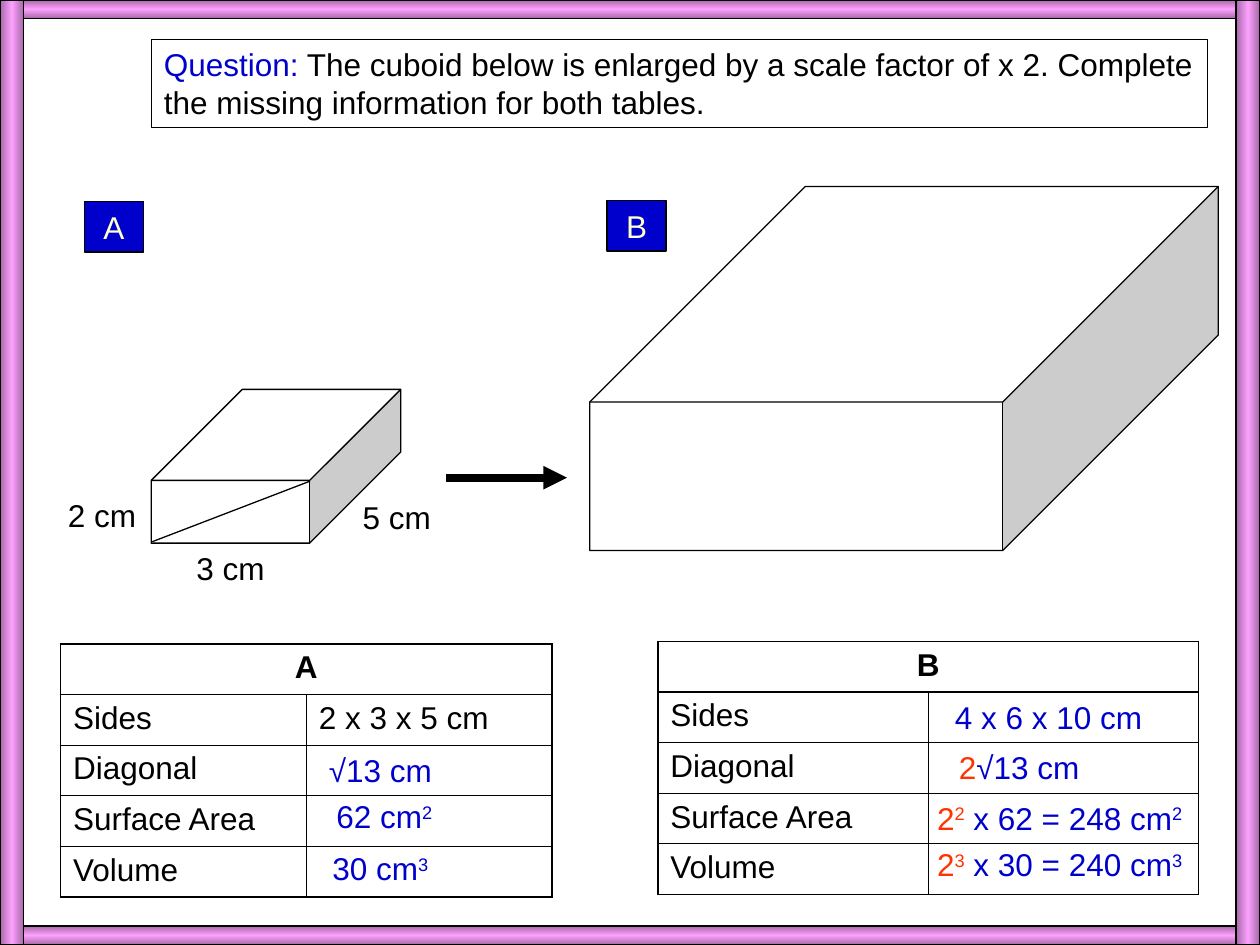
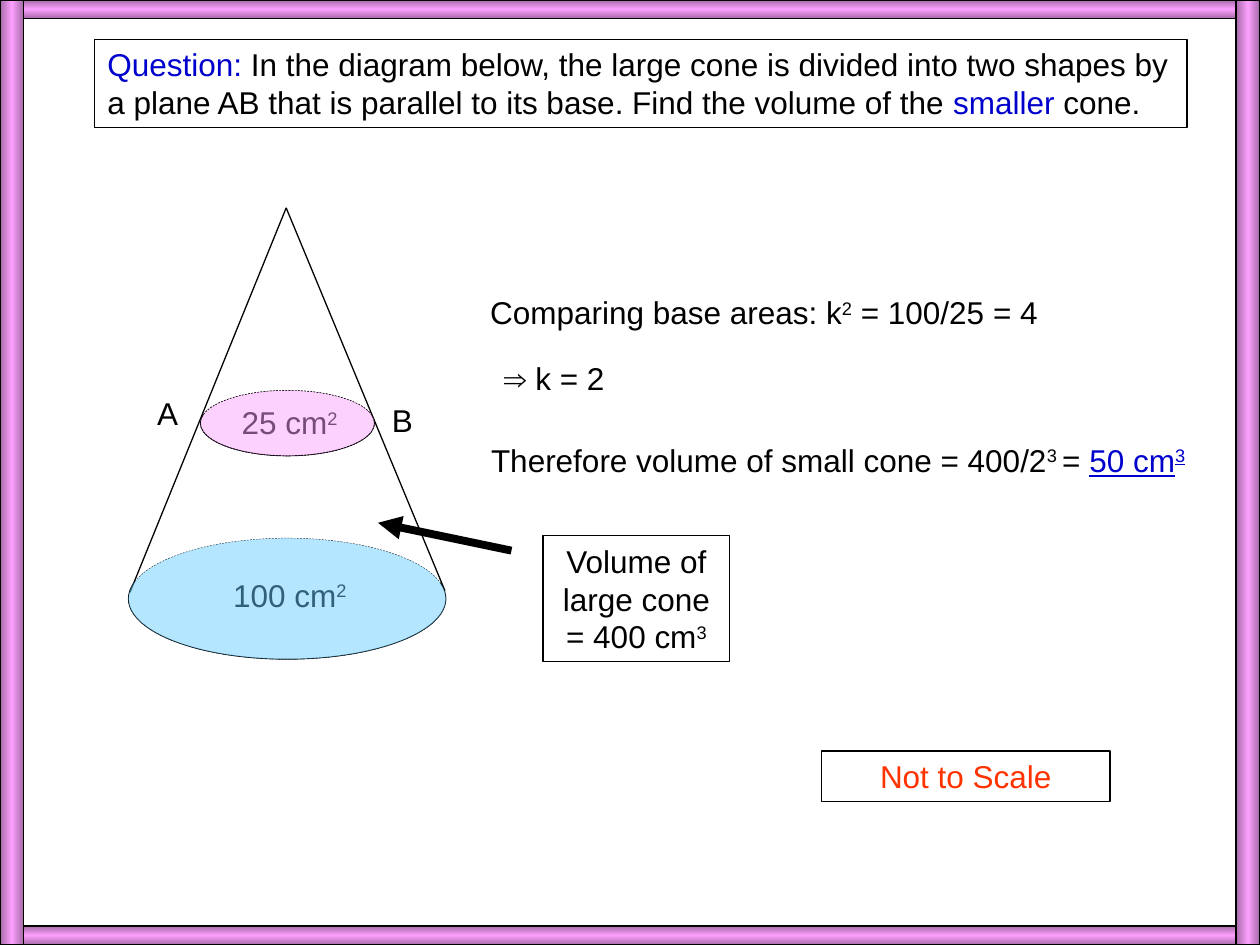
from copy import deepcopy
from lxml import etree
from pptx import Presentation
from pptx import util as u
from pptx.dml.color import RGBColor
from pptx.enum import dml, shapes, text
from pptx.oxml import ns

BLACK, WHITE, BLUE, RED = "000000", "FFFFFF", "0000CC", "FF3300"
CREAM, GREY, PINK, PLUM, SKY = "FFFFCC", "CCCCCC", "FCA0FE", "A669A7", "66CCFF"
FONT, SIZE = "Arial", 18
WIDE, HIGH = 25.4, 19.05
ROW = 1.02
THICK, THIN = 1.08, 0.45
KIND = shapes.MSO_SHAPE
LEFT, MID = text.PP_ALIGN.LEFT, text.PP_ALIGN.CENTER


def rgb(code):
    return RGBColor.from_string(code)


def cm(*sizes):
    return [u.Cm(size) for size in sizes]


def sub(node, tag, **attrs):
    return etree.SubElement(node, ns.qn(tag), **attrs)


# Text: a part is a string or (string, colour, underline); ^2^ is raised
def write(frame, parts, colour=BLACK, align=LEFT, bold=False):
    frame.word_wrap = True
    para = frame.paragraphs[0]
    para.alignment = align
    font = para.font
    font.name, font.size, font.bold = FONT, u.Pt(SIZE), bold
    font.color.rgb = rgb(colour)
    for part in [parts] if isinstance(parts, str) else parts:
        words, tint, under = (part, None, False) if isinstance(part, str) else part
        for i, piece in enumerate(words.split("^")):
            if not piece:
                continue
            run = para.add_run()
            run.text = piece
            if tint:
                run.font.color.rgb = rgb(tint)
            if under:
                run.font.underline = True
            if i % 2:
                run.font._element.set("baseline", "30000")


def label(group, x, y, w, parts, colour=BLACK):
    box = group.add_textbox(*cm(x, y, w, ROW))
    write(box.text_frame, parts, colour)


def shape(slide, kind, area, fill=None, line=BLACK, width=0.75, dash=False):
    item = slide.shapes.add_shape(kind, *cm(*area))
    item.shadow.inherit = False
    if fill:
        item.fill.solid()
        item.fill.fore_color.rgb = rgb(fill)
    else:
        item.fill.background()
    if line:
        item.line.color.rgb = rgb(line)
        item.line.width = u.Pt(width)
        if dash:
            item.line.dash_style = dml.MSO_LINE.DASH
    else:
        item.line.fill.background()
    return item


def panel(slide, area, parts, colour=BLACK, fill=None):
    box = shape(slide, KIND.RECTANGLE, area, fill)
    box.text_frame.vertical_anchor = text.MSO_ANCHOR.TOP
    write(box.text_frame, parts, colour, MID)


def line(slide, start, end, width=0.75, arrow=False):
    link = slide.shapes.add_connector(shapes.MSO_CONNECTOR.STRAIGHT,
                                      *cm(*start, *end))
    link.line.color.rgb = rgb(BLACK)
    link.line.width = u.Pt(width)
    props = link._element.spPr
    if arrow:
        sub(props.find(ns.qn("a:ln")), "a:tailEnd", type="triangle")
    sub(props, "a:effectLst")


def title(slide, x, w, parts):
    box = slide.shapes.title
    box.left, box.top, box.width, box.height = cm(x, 0.79, w, 1.78)
    box.line.color.rgb = rgb(BLACK)
    box.line.width = u.Pt(0.75)
    frame = box.text_frame
    frame.auto_size = text.MSO_AUTO_SIZE.NONE
    frame.vertical_anchor = text.MSO_ANCHOR.TOP
    write(frame, parts)


# Shared border of four shaded bars
def border(slide):
    flat, side = 0.38, 0.48
    for area, angle in [((0, 0, WIDE, flat), 90),
                        ((0, HIGH - flat, WIDE, flat), 90),
                        ((0, 0, side, HIGH), 0),
                        ((WIDE - side, 0, side, HIGH), 0)]:
        bar = shape(slide, KIND.RECTANGLE, area)
        bar.fill.gradient()
        bar.fill.gradient_angle = angle
        stops = bar.fill.gradient_stops
        for stop, tint, place in zip(stops, (PLUM, PINK), (0, 0.5)):
            stop.color.rgb = rgb(tint)
            stop.position = place
        ramp = bar._element.spPr.find(".//" + ns.qn("a:gsLst"))
        last = deepcopy(ramp[0])
        last.set("pos", "100000")
        ramp.append(last)


# Tables: thick outside, thin inside
def edge(props, side, width):
    rule = sub(props, "a:ln" + side, w=str(int(u.Pt(width))))
    sub(sub(rule, "a:solidFill"), "a:srgbClr", val=BLACK)


def grid(slide, x, y, w, rows, align=LEFT, bold=False):
    deep, cols = len(rows), len(rows[0])
    table = slide.shapes.add_table(deep, cols, *cm(x, y, w, ROW * deep)).table
    table.first_row = table.horz_banding = False
    for r, row in enumerate(rows):
        for c, words in enumerate(row):
            cell = table.cell(r, c)
            write(cell.text_frame, words, align=align, bold=bold)
            props = cell._tc.get_or_add_tcPr()
            for side, outer in [("L", c == 0), ("R", c == cols - 1),
                                ("T", r == 0), ("B", r == deep - 1)]:
                edge(props, side, THICK if outer else THIN)
            cell.fill.background()


def facts(slide, x, y, w, name, sides):
    grid(slide, x, y, w, [[name]], MID, True)
    grid(slide, x, y + ROW, w, [["Sides", sides], ["Diagonal", ""],
                                ["Surface Area", ""], ["Volume", ""]])


def cube(slide, area):
    shape(slide, KIND.CUBE, area, WHITE).adjustments[0] = 0.592


# Dashed ellipse with a solid front edge
def disc(slide, area):
    shape(slide, KIND.OVAL, area, width=0.25, dash=True)
    front = shape(slide, KIND.ARC, area, width=0.5)
    for i, angle in enumerate((354, 186)):
        front.adjustments[i] = angle * 0.6


def tint(slide, area, colour, outline):
    veil = shape(slide, KIND.OVAL, area, colour, outline, 0.25, bool(outline))
    paint = veil._element.spPr.find(ns.qn("a:solidFill"))
    sub(paint[0], "a:alpha", val="48000")


def cuboids(slide):
    title(slide, 3.05, 21.29, [
        ("Question:", BLUE, False),
        " The cuboid below is enlarged by a scale factor of x 2. "
        "Complete the missing information for both tables."])

    # Solids and their labels
    cube(slide, (3.05, 7.85, 5.03, 3.1))
    cube(slide, (11.89, 3.76, 12.67, 7.34))
    line(slide, (8.99, 9.63), (11.43, 9.63), 4.5, True)
    line(slide, (3.07, 10.92), (6.25, 9.7))
    for x, y, words in [(1.12, 9.88, "2 cm"), (3.71, 10.95, "3 cm"),
                        (7.06, 9.91, "5 cm")]:
        label(slide.shapes, x, y, 2.54, words)
    for x, y, name in [(1.7, 4.06, "A"), (12.24, 4.04, "B")]:
        panel(slide, (x, y, 1.19, ROW), name, CREAM, BLUE)

    # Tables
    facts(slide, 1.22, 12.98, 9.91, "A", "2 x 3 x 5 cm")
    facts(slide, 13.26, 12.93, 10.9, "B", "")
    border(slide)

    # Answers
    first = [(6.38, 15.01, 3.61, "√13 cm"),
             (6.53, 15.95, 3.61, "62 cm^2^"),
             (6.45, 16.99, 3.61, "30 cm^3^")]
    second = [(19.08, 14.96, 3.61, [("2", RED, False), "√13 cm"]),
              (18.64, 15.98, 5.59, [("2^2^", RED, False), " x 62 = 248 cm^2^"]),
              (18.64, 16.92, 5.59, [("2^3^", RED, False), " x 30 = 240 cm^3^"]),
              (19, 13.94, 4.65, "4 x 6 x 10 cm")]
    for batch in (first, second):
        group = slide.shapes.add_group_shape().shapes
        for x, y, w, parts in batch:
            label(group, x, y, w, parts, BLUE)


def cones(slide):
    title(slide, 1.91, 22.02, [
        ("Question: ", BLUE, False),
        "In the diagram below, the large cone is divided into two shapes by "
        "a plane AB that is parallel to its base. Find the volume of the ",
        ("smaller", BLUE, False), " cone."])

    # Cone cut by the plane AB
    base, cut = (2.59, 10.85, 6.4, 2.44), (4.04, 7.87, 3.51, 1.32)
    apex = (5.77, 4.19)
    disc(slide, base)
    for foot in [(8.97, 11.91), (2.62, 11.94)]:
        line(slide, foot, apex)
    disc(slide, cut)

    # Labels and working
    for x, y, w, parts in [
            (4.45, 11.48, 2.97, "100 cm^2^"),
            (4.62, 8, 2.74, "25 cm^2^"),
            (2.92, 7.82, 1.75, "A"),
            (7.65, 7.95, 1.75, "B"),
            (9.63, 5.79, 12.73, "Comparing base areas: k^2^ = 100/25 = 4"),
            (9.91, 7.11, 3.38, "⇒ k = 2"),
            (9.65, 8.76, 15.75, [
                "Therefore volume of small cone = 400/2^3 ^= ",
                ("50 cm^3^", BLUE, True)])]:
        label(slide.shapes, x, y, w, parts)
    panel(slide, (10.95, 10.8, 3.76, 2.54), "Volume of large cone = 400 cm^3^")
    line(slide, (10.31, 11.1), (7.62, 10.54), 4.5, True)
    border(slide)
    panel(slide, (16.56, 15.14, 5.82, ROW), "Not to Scale", RED)

    # Clear colour over both discs
    tint(slide, base, SKY, None)
    tint(slide, cut, PINK, BLACK)


def main():
    deck = Presentation()
    deck.slide_width, deck.slide_height = cm(WIDE, HIGH)
    for build in (cuboids, cones):
        build(deck.slides.add_slide(deck.slide_layouts[5]))
    deck.save("out.pptx")


if __name__ == "__main__":
    main()
